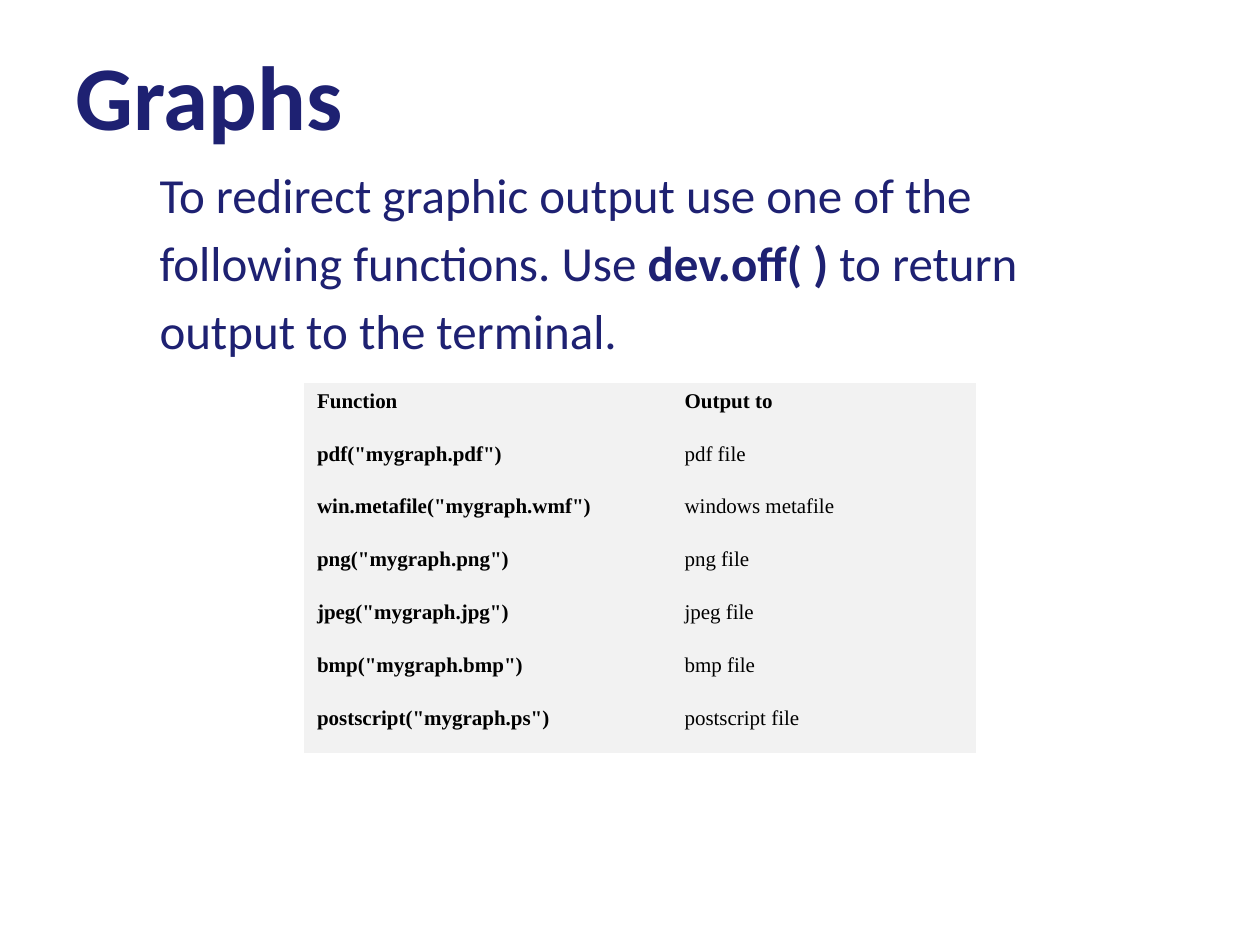
from pptx import Presentation
from pptx.dml.color import RGBColor
from pptx.enum.text import MSO_ANCHOR, MSO_AUTO_SIZE, PP_ALIGN
from pptx.oxml.ns import qn
from pptx.util import Pt

NAVY = "1E2172"
BLACK = "000000"
PALE_GREY = "F2F2F2"
NO_STYLE_NO_GRID = "{2D5ABB26-0587-4C30-8999-92F81FD0307C}"

INTRO = [
    [("To redirect graphic output use one of the", False)],
    [("following functions. Use ", False), ("dev.off( )", True), (" to return", False)],
    [("output to the terminal.", False)],
]
DEVICES = [
    ("Function", "Output to"),
    ('pdf("mygraph.pdf")', "pdf file"),
    ('win.metafile("mygraph.wmf")', "windows metafile"),
    ('png("mygraph.png")', "png file"),
    ('jpeg("mygraph.jpg")', "jpeg file"),
    ('bmp("mygraph.bmp")', "bmp file"),
    ('postscript("mygraph.ps")', "postscript file"),
]
COLUMN_WIDTHS = (210, 174)
ROW_HEIGHT = 30.2


def color(value):
    """Turn a hex string into a colour."""
    return RGBColor.from_string(value)


def set_font(font, name, size, value, bold=None):
    """Set typeface, size, colour and weight."""
    font.name = name
    font.size = Pt(size)
    font.color.rgb = color(value)
    font.bold = bold


def set_title(page, text):
    """Place and format the title placeholder."""
    title = page.shapes.title
    title.left, title.top, title.width, title.height = Pt(36), Pt(18.7), Pt(612), Pt(116)
    frame = title.text_frame
    frame.text = text
    frame.vertical_anchor = MSO_ANCHOR.TOP
    frame.auto_size = MSO_AUTO_SIZE.NONE
    para = frame.paragraphs[0]
    para.alignment = PP_ALIGN.LEFT
    set_font(para.font, "Calibri", 52, NAVY, True)


def add_intro(page, lines):
    """Add the indented introduction, one paragraph per line."""
    box = page.shapes.add_textbox(Pt(48), Pt(90.7), Pt(601), Pt(306))
    frame = box.text_frame
    frame.word_wrap = True
    frame.margin_left = Pt(43.2)
    for index, spans in enumerate(lines):
        para = frame.add_paragraph() if index else frame.paragraphs[0]
        para.space_before = Pt(5)
        set_font(para.font, "Calibri", 28, NAVY)
        for text, bold in spans:
            span = para.add_run()
            span.text = text
            span.font.bold = bold


def add_device_table(page, rows):
    """Add the table with a bold header row and bold first column."""
    holder = page.shapes.add_table(
        len(rows), len(COLUMN_WIDTHS), Pt(174), Pt(219),
        Pt(sum(COLUMN_WIDTHS)), Pt(ROW_HEIGHT * len(rows)))
    table = holder.table
    table._tbl.tblPr.find(qn("a:tableStyleId")).text = NO_STYLE_NO_GRID
    for column, width in zip(table.columns, COLUMN_WIDTHS):
        column.width = Pt(width)
    for row_index, texts in enumerate(rows):
        table.rows[row_index].height = Pt(ROW_HEIGHT)
        for column_index, text in enumerate(texts):
            cell = table.cell(row_index, column_index)
            cell.text = text
            cell.fill.solid()
            cell.fill.fore_color.rgb = color(PALE_GREY)
            bold = row_index == 0 or column_index == 0
            set_font(cell.text_frame.paragraphs[0].font, "Times New Roman", 12, BLACK, bold)


def main():
    """Build the slide and save the deck."""
    deck = Presentation()
    deck.slide_width, deck.slide_height = Pt(720), Pt(540)
    page = deck.slides.add_slide(deck.slide_layouts[5])
    set_title(page, "Graphs")
    add_intro(page, INTRO)
    add_device_table(page, DEVICES)
    deck.save("out.pptx")


if __name__ == "__main__":
    main()
